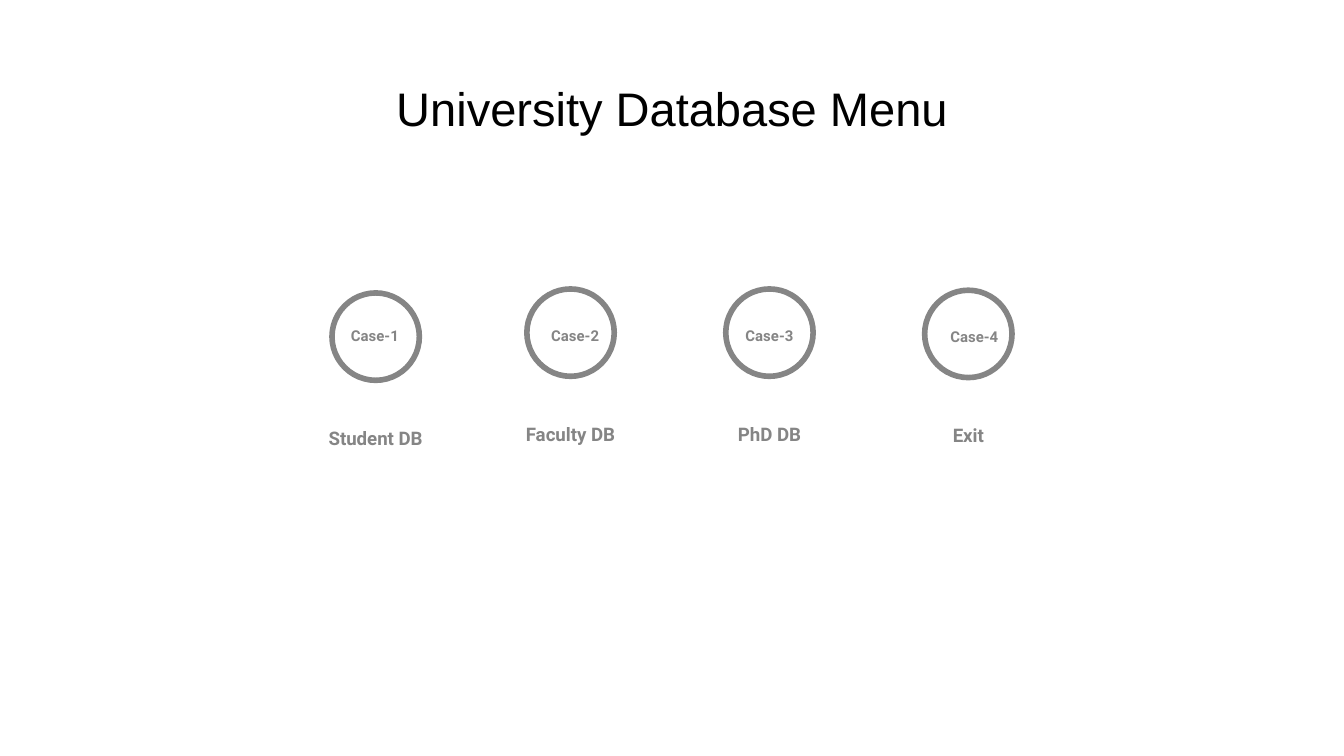
from pptx import Presentation
from pptx.dml.color import RGBColor
from pptx.enum.shapes import MSO_SHAPE
from pptx.enum.text import MSO_ANCHOR, PP_ALIGN
from pptx.util import Inches, Pt

BLACK = RGBColor(0x00, 0x00, 0x00)
GRAY = RGBColor(0x85, 0x85, 0x85)
RING = 0.65


class Deck:
    def __init__(self):
        self.file = Presentation()
        self.file.slide_width = Inches(10)
        self.file.slide_height = Inches(10 * 9 / 16)
        self.slide = self.file.slides.add_slide(self.file.slide_layouts[6])

    def text(self, home, words, box, size, font="Roboto", color=GRAY, bold=True,
             anchor=MSO_ANCHOR.TOP, line=1.15, after=0):
        frame = home.add_textbox(*map(Inches, box)).text_frame
        frame.word_wrap = True
        frame.vertical_anchor = anchor
        frame.margin_left = frame.margin_right = Inches(0.1)
        frame.margin_top = frame.margin_bottom = Inches(0.1)
        para = frame.paragraphs[0]
        para.alignment = PP_ALIGN.CENTER
        para.line_spacing = line
        para.space_after = Pt(after)
        run = para.add_run()
        run.text = words
        run.font.name = font
        run.font.size = Pt(size)
        run.font.bold = bold
        run.font.color.rgb = color

    def ring(self, home, left, top):
        shape = home.add_shape(MSO_SHAPE.OVAL, Inches(left), Inches(top),
                               Inches(RING), Inches(RING))
        shape.shadow.inherit = False
        shape.fill.background()
        shape.line.color.rgb = GRAY
        shape.line.width = Pt(3)

    def option(self, left, top, label, width, case, box):
        home = self.slide.shapes.add_group_shape().shapes
        self.ring(home, left, top)
        start = left + (RING - width) / 2
        self.text(home, label, (start, top + 0.77, width, 0.49), 10,
                  anchor=MSO_ANCHOR.BOTTOM)
        self.text(home, case, box, 8, after=16)


def main():
    deck = Deck()
    deck.text(deck.slide.shapes, "University Database Menu", (0.34, 0.49, 9.32, 0.63),
              25.2, font="Arial", color=BLACK, bold=False, line=1)
    options = [
        (3.92, 2.15, "Faculty DB", 1.43, "Case-2", (4, 2.33, 0.56, 0.35)),
        (5.4, 2.15, "PhD DB", 1.49, "Case-3", (5.4, 2.33, 0.65, 0.35)),
        (6.88, 2.16, "Exit", 1.43, "Case-4", (6.97, 2.34, 0.56, 0.35)),
        (2.47, 2.18, "Student DB", 1.43, "Case-1", (2.51, 2.33, 0.56, 0.35)),
    ]
    for option in options:
        deck.option(*option)
    deck.file.save("out.pptx")


if __name__ == "__main__":
    main()
